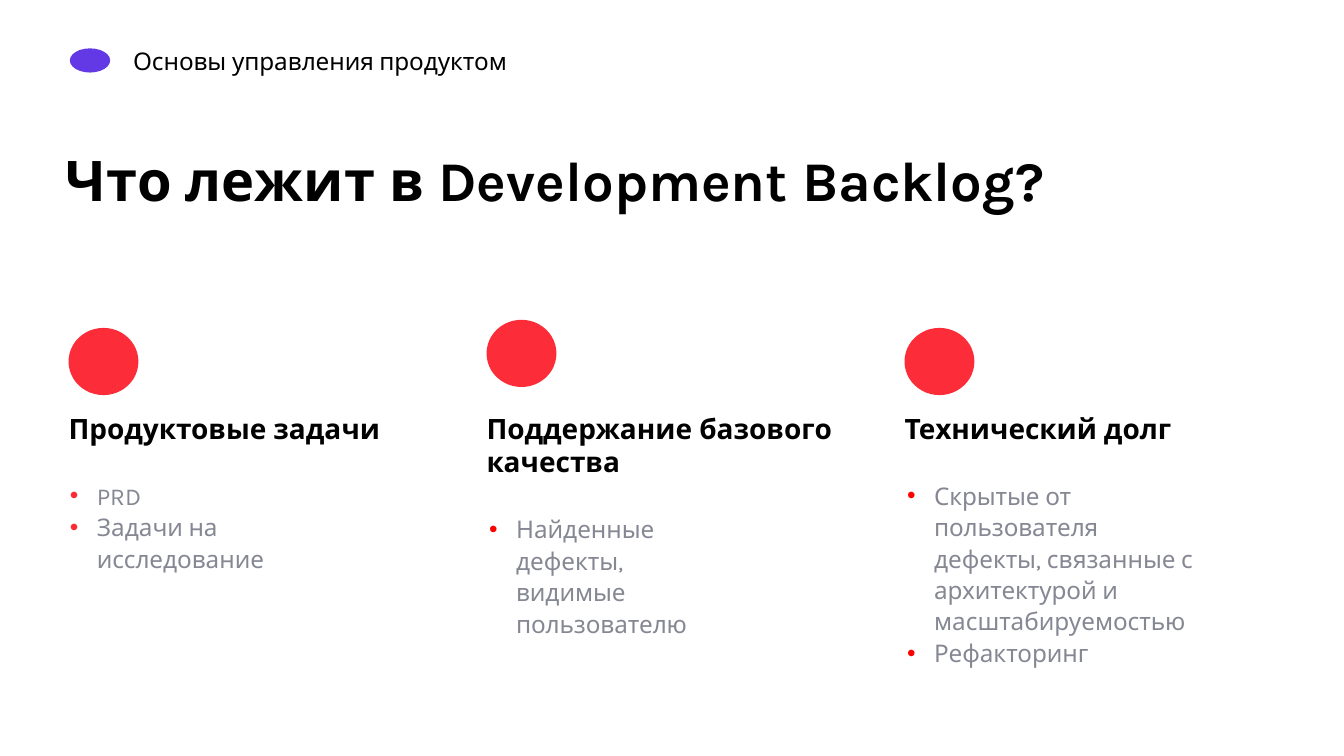
"""Build the slide about the contents of a development backlog."""
import pptx
import pptx.dml.color
import pptx.enum.shapes
import pptx.enum.text
import pptx.oxml
import pptx.oxml.ns
import pptx.util

Inches = pptx.util.Inches
COLORS = {"ink": "000000", "muted": "858793", "dot": "FC2C38",
          "bullet": "FB2C38", "bright": "FF0000", "mark": "6339E6"}
FONT = "Karla"


def rgb(name):
    return pptx.dml.color.RGBColor.from_string(COLORS[name])


def write(paragraph, text, size=13, color="ink", bold=False, bullet=None,
          spacing=1.0, after=0, left=0, indent=0, right=0):
    """Fill a paragraph with formatted text, bulleted when a bullet colour is given."""
    paragraph.alignment = pptx.enum.text.PP_ALIGN.LEFT
    paragraph.line_spacing = spacing
    paragraph.space_before = pptx.util.Pt(0)
    paragraph.space_after = pptx.util.Pt(after)
    props = paragraph._p.get_or_add_pPr()
    for name, length in (("marL", left), ("indent", indent), ("marR", right)):
        props.set(name, str(Inches(length)))
    namespace = pptx.oxml.ns.nsdecls("a")
    if bullet:
        marks = [f'<a:buClr {namespace}><a:srgbClr val="{COLORS[bullet]}"/></a:buClr>',
                 f'<a:buChar {namespace} char="•"/>']
    else:
        marks = [f"<a:buNone {namespace}/>"]
    for mark in marks:
        props.append(pptx.oxml.parse_xml(mark))
    run = paragraph.add_run()
    run.text = text
    run.font.name = FONT
    run.font.size = pptx.util.Pt(size)
    run.font.bold = bold
    run.font.color.rgb = rgb(color)


class BacklogSlide:
    """Hold the style and the current slide."""

    def __init__(self, deck):
        self.slide = deck.slides.add_slide(deck.slide_layouts[4])
        self.bodies = [p for p in self.slide.placeholders
                       if p.placeholder_format.idx in (1, 2, 3, 4)]

    def frame(self, holder, box, insets):
        holder.left, holder.top, holder.width, holder.height = map(Inches, box)
        frame = holder.text_frame
        frame.word_wrap = True
        frame.auto_size = pptx.enum.text.MSO_AUTO_SIZE.NONE
        frame.vertical_anchor = pptx.enum.text.MSO_ANCHOR.TOP
        (frame.margin_left, frame.margin_top,
         frame.margin_right, frame.margin_bottom) = map(Inches, insets)
        return frame

    def title(self, text, box):
        frame = self.frame(self.slide.shapes.title, box, (0, 0.01, 0, 0))
        write(frame.paragraphs[0], text, size=30, bold=True)

    def label(self, text, box):
        holder = self.slide.shapes.add_textbox(*map(Inches, box))
        frame = self.frame(holder, box, (0.05, 0.05, 0.04, 0.04))
        write(frame.paragraphs[0], text, spacing=1.01)

    def column(self, heading, items, box, bullet, left, right):
        frame = self.frame(self.bodies.pop(0), box, (0, 0.01, 0, 0))
        write(frame.paragraphs[0], heading, size=15, bold=True, after=18, left=left)
        for item in items:
            write(frame.add_paragraph(), item, color="muted", bullet=bullet,
                  spacing=1.08, left=0.22, indent=-0.2, right=right)

    def oval(self, box, color):
        oval = self.slide.shapes.add_shape(
            pptx.enum.shapes.MSO_SHAPE.OVAL, *map(Inches, box))
        oval.shadow.inherit = False
        oval.fill.solid()
        oval.fill.fore_color.rgb = rgb(color)
        oval.line.fill.background()

    def remove_unused(self):
        for body in self.bodies:
            body.element.getparent().remove(body.element)


def main():
    deck = pptx.Presentation()
    deck.slide_width = Inches(10)
    deck.slide_height = deck.slide_width * 9 // 16
    page = BacklogSlide(deck)
    page.oval((0.52, 0.36, 0.3, 0.18), "mark")
    page.label("Основы управления продуктом", (0.94, 0.29, 5.91, 0.25))
    page.title("Что лежит в Development Backlog?", (0.49, 1.07, 8.33, 0.49))
    columns = [
        ("Продуктовые задачи", ["PRD", "Задачи на исследование"],
         (0.5, 3.05, 2.79, 1.27), "bullet", 0.01, 0.9, 2.44),
        ("Поддержание базового качества",
         ["Найденные дефекты, видимые пользователю"],
         (3.62, 3.05, 3.09, 1.72), "bright", 0, 1.4, 2.38),
        ("Технический долг",
         ["Скрытые от пользователя дефекты, связанные с архитектурой "
          "и масштабируемостью", "Рефакторинг"],
         (6.73, 3.05, 3.5, 1.72), "bright", 0, 1.28, 2.44),
    ]
    dot_lefts = (0.51, 3.62, 6.73)
    for dot_left, (*column, dot_top) in zip(dot_lefts, columns):
        page.oval((dot_left, dot_top, 0.52, 0.5), "dot")
        page.column(*column)
    page.remove_unused()
    deck.save("out.pptx")


if __name__ == "__main__":
    main()
